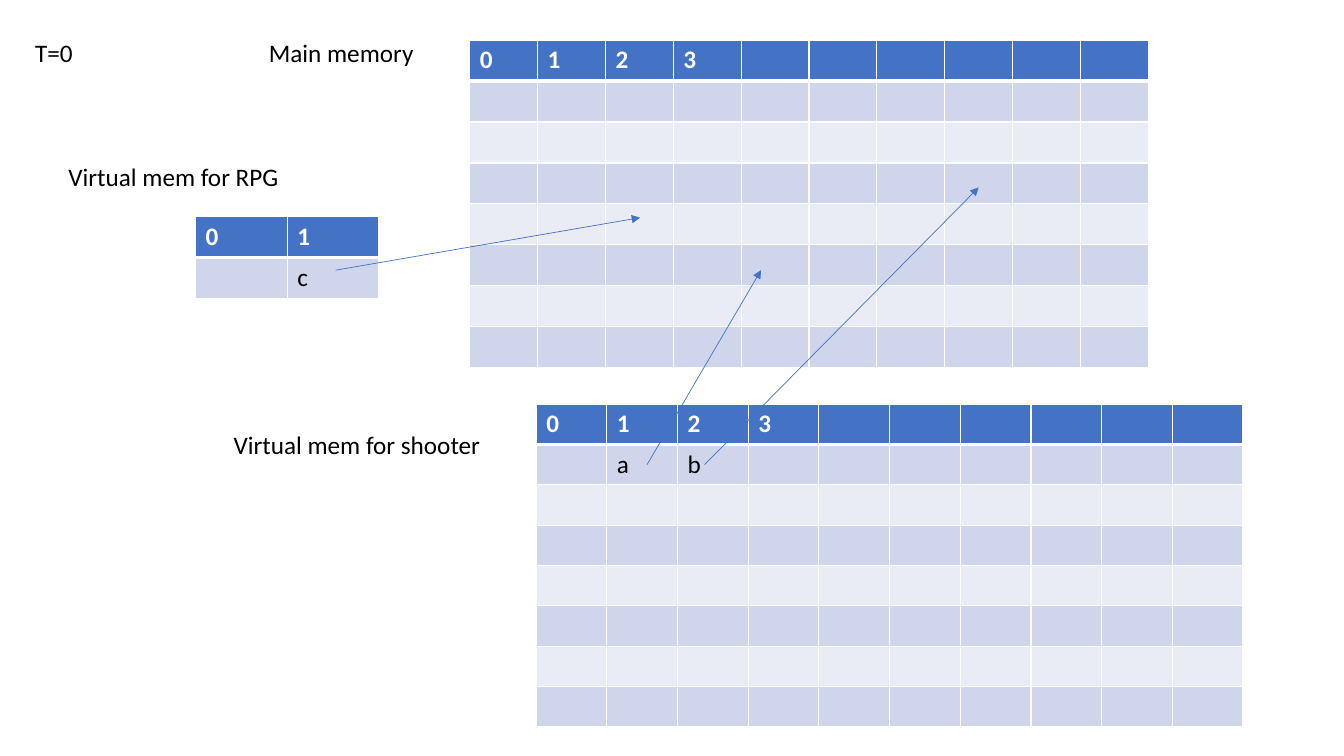
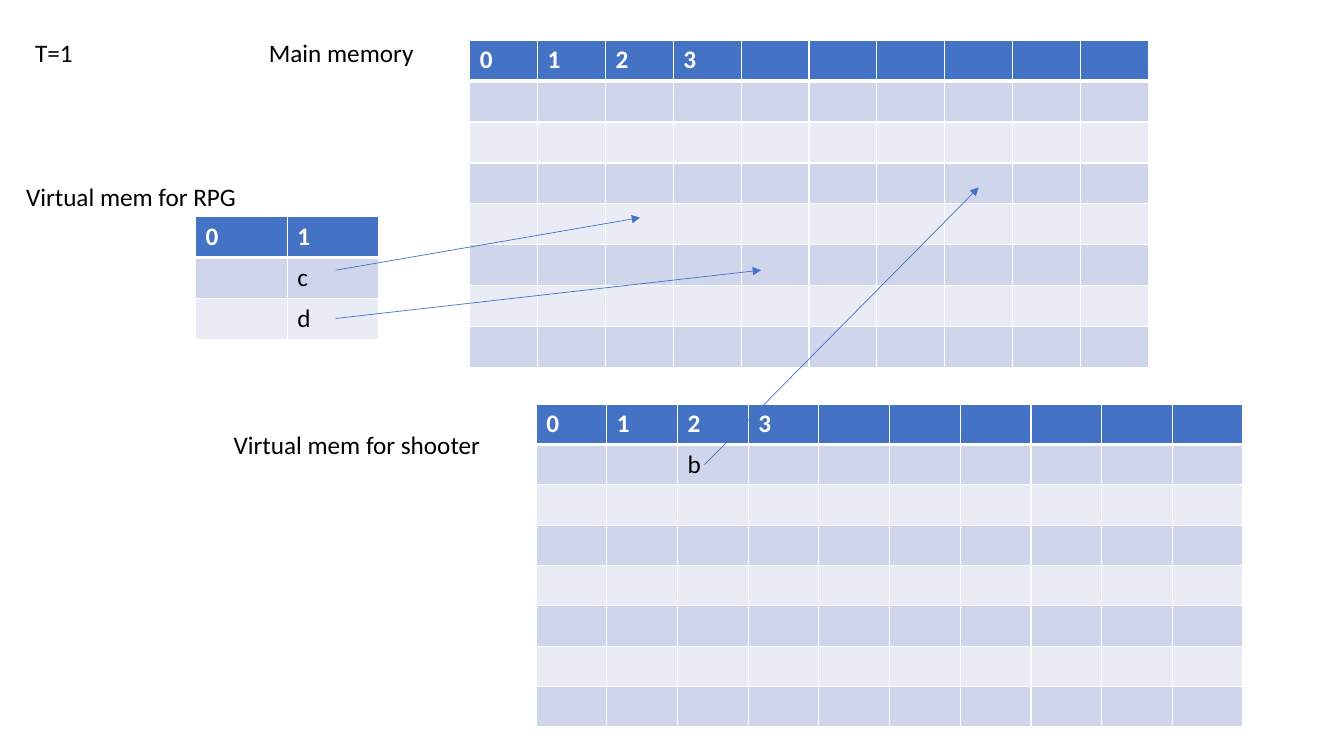
from pptx import Presentation
from pptx.dml.color import RGBColor
from pptx.enum.shapes import MSO_CONNECTOR
from pptx.enum.text import MSO_AUTO_SIZE
from pptx.oxml import parse_xml
from pptx.oxml.ns import nsdecls
from pptx.util import Pt

STRAIGHT = MSO_CONNECTOR.STRAIGHT
FIT_SHAPE = MSO_AUTO_SIZE.SHAPE_TO_FIT_TEXT
FONT = "Calibri"
BLACK = RGBColor(0x00, 0x00, 0x00)
WHITE = RGBColor(0xFF, 0xFF, 0xFF)
BLUE = RGBColor(0x44, 0x72, 0xC4)
BAND_DARK = RGBColor(0xCF, 0xD5, 0xEA)
BAND_LIGHT = RGBColor(0xE9, 0xEB, 0xF5)

# Memory grids: left, top, column count, column width, row height
MAIN_GRID = (335.5, 28.8, 10, 48.5, 29.2)
SHOOTER_GRID = (383, 288.7, 10, 50.5, 28.8)
RPG_GRID = (139.7, 154.8, 2, 65.5, 29.2)

# Arrows: from x, from y, to x, to y
ARROW_A = (462.2, 331.9, 543.6, 193)
ARROW_B = (503.3, 331.9, 699.1, 133.9)
ARROW_C = (239.8, 193, 457.2, 155.5)
ARROW_D = (239.8, 227.5, 543.6, 193)

# What changes from one time step to the next; cells are {(row, column): text}
STEPS = [
    {"time": "T=0", "rpg_label": (41.8, 111.6, 172), "rpg_rows": 2,
     "rpg_cells": {(1, 1): "c"},
     "shooter_cells": {(1, 1): "a", (1, 2): "b"},
     "arrows": [ARROW_A, ARROW_B, ARROW_C]},
    {"time": "T=1", "rpg_label": (11.5, 126, 182), "rpg_rows": 3,
     "rpg_cells": {(1, 1): "c", (2, 1): "d"},
     "shooter_cells": {(1, 2): "b"},
     "arrows": [ARROW_B, ARROW_C, ARROW_D]},
]


def add_run(paragraph, text, color, bold=False):
    run = paragraph.add_run()
    run.text = text
    run.font.name = FONT
    run.font.size = Pt(18)
    run.font.bold = bold
    run.font.color.rgb = color


def add_memory(slide, grid, row_count, contents):
    left, top, column_count, column_width, row_height = grid
    table = slide.shapes.add_table(
        row_count, column_count, Pt(left), Pt(top),
        Pt(column_count * column_width), Pt(row_count * row_height)).table
    for column in table.columns:
        column.width = Pt(column_width)
    header = {(0, index): str(index) for index in range(min(4, column_count))}
    texts = {**header, **contents}

    for row_index, row in enumerate(table.rows):
        row.height = Pt(row_height)
        is_header = row_index == 0
        band = BAND_DARK if row_index % 2 else BAND_LIGHT
        # White rules, thicker under the header
        widths = {"L": 1, "R": 1, "T": 3 if row_index == 1 else 1,
                  "B": 3 if is_header else 1}
        for column_index, cell in enumerate(row.cells):
            cell.margin_top = cell.margin_bottom = Pt(3.3)
            properties = cell._tc.get_or_add_tcPr()
            for side, width in widths.items():
                properties.append(parse_xml(
                    f'<a:ln{side} {nsdecls("a")} w="{Pt(width)}"><a:solidFill>'
                    f'<a:srgbClr val="{WHITE}"/></a:solidFill></a:ln{side}>'))
            cell.fill.solid()
            cell.fill.fore_color.rgb = BLUE if is_header else band
            text = texts.get((row_index, column_index))
            if text:
                add_run(cell.text_frame.paragraphs[0], text,
                        WHITE if is_header else BLACK, is_header)


presentation = Presentation()
presentation.slide_width = Pt(960)
presentation.slide_height = Pt(540)
blank_layout = presentation.slide_layouts[6]

for step in STEPS:
    slide = presentation.slides.add_slide(blank_layout)

    # Memory tables
    add_memory(slide, MAIN_GRID, 8, {})
    add_memory(slide, SHOOTER_GRID, 8, step["shooter_cells"])
    add_memory(slide, RPG_GRID, step["rpg_rows"], step["rpg_cells"])

    # Labels
    labels = [
        ("Main memory", 185, 23, 494.6),
        ("Virtual mem for shooter", 159.8, 303.1, 494.6),
        ("Virtual mem for RPG", *step["rpg_label"]),
        (step["time"], 18, 23, 128.9),
    ]
    for text, left, top, width in labels:
        label = slide.shapes.add_textbox(Pt(left), Pt(top), Pt(width), Pt(29.1))
        label.text_frame.word_wrap = True
        label.text_frame.auto_size = FIT_SHAPE
        add_run(label.text_frame.paragraphs[0], text, BLACK)

    # Arrows from virtual pages to main memory
    for points in step["arrows"]:
        arrow = slide.shapes.add_connector(STRAIGHT, *map(Pt, points))
        arrow.line.color.rgb = BLUE
        arrow.line.width = Pt(0.5)
        arrow.line._get_or_add_ln().append(
            parse_xml(f'<a:tailEnd {nsdecls("a")} type="triangle"/>'))
        arrow._element.spPr.append(parse_xml(f'<a:effectLst {nsdecls("a")}/>'))

presentation.save("out.pptx")
